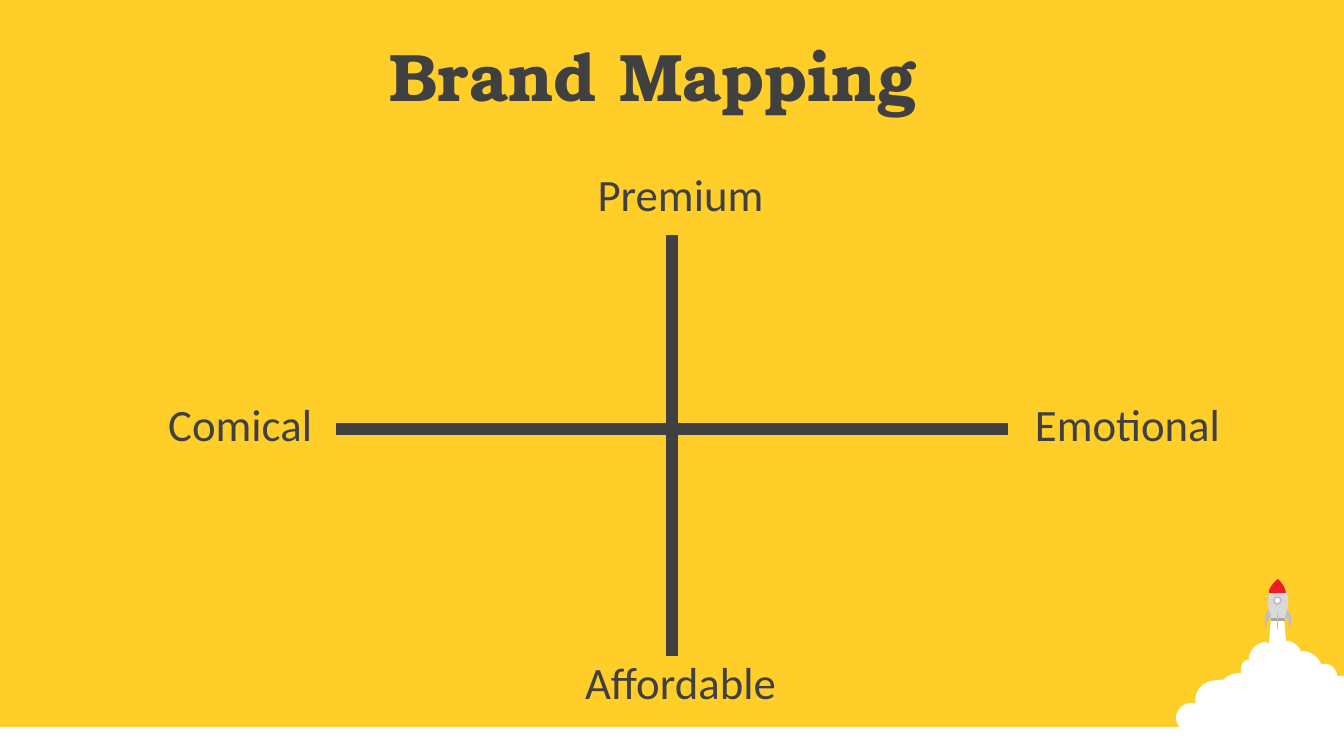
"""Build a brand mapping slide with two crossed axes and a rocket in the corner."""
import pptx
import pptx.util
import pptx.dml.color
import pptx.enum.shapes
import pptx.enum.text
import lxml.etree

W, H = 1344, 756
SCALE = 914400 / 134.4
COLORS = {"yellow": "FFCE29", "white": "FFFFFF", "ink": "404040", "body": "D9D9D9",
          "base": "A6A6A6", "nose": "ED1C24", "fin": "BFBFBF"}
LEFT, CENTER = pptx.enum.text.PP_ALIGN.LEFT, pptx.enum.text.PP_ALIGN.CENTER
SHAPE = pptx.enum.shapes.MSO_SHAPE

TITLE = ("Brand Mapping", 376, 28, 751, 95, LEFT, "TeX Gyre Bonum", 36, True)
LABELS = [("Premium", 487, 160, CENTER), ("Comical", 155, 390, LEFT),
          ("Emotional", 934, 390, CENTER), ("Affordable", 487, 648, CENTER)]
AXES = [(672, 235, 672, 656), (1008, 429, 336, 429)]

CLOUD = [
    (1271, 617), (1284, 617), (1286, 641), (1289, 641), (1293, 642, 1297, 645, 1300, 649),
    (1301, 652), (1302, 651), (1310, 651, 1318, 656, 1321, 664), (1325, 664),
    (1331, 664, 1336, 668, 1337, 675), (1337, 676), (1344, 676), (1344, 753), (1341, 753),
    (1336, 753, 1331, 751, 1327, 749), (1325, 747), (1324, 749),
    (1321, 750, 1318, 751, 1314, 751), (1310, 751, 1308, 749, 1305, 746), (1302, 745),
    (1302, 746), (1300, 750, 1296, 751, 1290, 751), (1286, 751, 1282, 750, 1279, 747),
    (1278, 746), (1275, 747), (1270, 751, 1263, 754, 1255, 754),
    (1241, 754, 1232, 747, 1227, 741), (1224, 743, 1219, 745, 1215, 743),
    (1210, 742, 1202, 739, 1200, 732), (1200, 730), (1199, 731),
    (1198, 732, 1195, 732, 1191, 732), (1183, 732, 1176, 726, 1176, 718),
    (1176, 710, 1183, 703, 1191, 703), (1193, 703), (1195, 704), (1195, 702),
    (1195, 689, 1204, 680, 1218, 680), (1223, 680), (1224, 679),
    (1228, 675, 1234, 673, 1241, 673), (1241, 669), (1241, 665, 1243, 661, 1247, 660),
    (1249, 660), (1249, 657), (1250, 649, 1258, 642, 1266, 642), (1269, 644)]
BODY = [(1271, 621), (1269, 609, 1263, 591, 1278, 579), (1293, 593, 1288, 610, 1285, 621)]
BASE = [(1271, 618), (1285, 618), (1285, 621), (1271, 621)]
NOSE = [(1278, 579), (1282, 583, 1285, 587, 1286, 593), (1269, 593), (1269, 591),
        (1270, 587, 1273, 583, 1278, 579)]
FIN = [(1269, 610), (1271, 617), (1266, 620, 1267, 626, 1266, 629),
       (1265, 625, 1263, 614, 1269, 610)]
ROCKET_AXIS = 1278


def px(n):
    return pptx.util.Emu(round(n * SCALE))


def rgb(name):
    return pptx.dml.color.RGBColor.from_string(COLORS[name])


def paint(sp, fill, line=None):
    sp.shadow.inherit = False
    sp.fill.solid()
    sp.fill.fore_color.rgb = rgb(fill)
    if line:
        sp.line.color.rgb = rgb(line)
        sp.line.width = pptx.util.Pt(1)
    else:
        sp.line.fill.background()


def flatten(path, steps=8):
    """Turn corners and cubic curves into a list of points."""
    points = []
    for seg in path:
        if len(seg) == 2:
            points.append(seg)
            continue
        (x0, y0), (x1, y1, x2, y2, x3, y3) = points[-1], seg
        for i in range(1, steps + 1):
            t = i / steps
            a, b, c, d = (1 - t) ** 3, 3 * t * (1 - t) ** 2, 3 * t * t * (1 - t), t ** 3
            points.append((a * x0 + b * x1 + c * x2 + d * x3,
                           a * y0 + b * y1 + c * y2 + d * y3))
    return points


def mirror(path):
    return [tuple(2 * ROCKET_AXIS - v if i % 2 == 0 else v for i, v in enumerate(seg))
            for seg in path]


def add_outline(shapes, path, fill):
    points = [(px(x), px(y)) for x, y in flatten(path)]
    fb = shapes.build_freeform(*points[0])
    fb.add_line_segments(points[1:], close=True)
    paint(fb.convert_to_shape(), fill)


def add_preset(shapes, kind, box, fill, line=None):
    paint(shapes.add_shape(kind, *map(px, box)), fill, line)


def add_rocket(s):
    shapes = s.shapes.add_group_shape().shapes
    for path, fill in [(CLOUD, "white"), (BODY, "body"), (BASE, "base"), (NOSE, "nose")]:
        add_outline(shapes, path, fill)
    add_preset(shapes, SHAPE.OVAL, (1274, 597, 7, 7), "white", "fin")
    add_preset(shapes, SHAPE.RECTANGLE, (1277, 612, 1, 17), "fin")
    for path in (FIN, mirror(FIN)):
        add_outline(shapes, path, "fin")


def add_axis(s, ends):
    cx = s.shapes.add_connector(pptx.enum.shapes.MSO_CONNECTOR.STRAIGHT, *map(px, ends))
    cx.line.color.rgb = rgb("ink")
    cx.line.width = pptx.util.Pt(6)
    lxml.etree.SubElement(cx._element.spPr, pptx.oxml.ns.qn("a:effectLst"))


def add_text(s, text, x, y, w, h, align, font, size, bold=False):
    tf = s.shapes.add_textbox(px(x), px(y), px(w), px(h)).text_frame
    tf.word_wrap = True
    tf.auto_size = pptx.enum.text.MSO_AUTO_SIZE.SHAPE_TO_FIT_TEXT
    p = tf.paragraphs[0]
    p.alignment = align
    r = p.add_run()
    r.text = text
    r.font.name = font
    r.font.size = pptx.util.Pt(size)
    r.font.bold = bold
    r.font.color.rgb = rgb("ink")


def main():
    prs = pptx.Presentation()
    prs.slide_width, prs.slide_height = px(W), px(H)
    s = prs.slides.add_slide(prs.slide_layouts[6])
    s.background.fill.solid()
    s.background.fill.fore_color.rgb = rgb("yellow")
    add_preset(s.shapes, SHAPE.RECTANGLE, (0, 727, W, H - 727), "white")
    add_rocket(s)
    add_text(s, *TITLE)
    for ends in AXES:
        add_axis(s, ends)
    for text, x, y, align in LABELS:
        add_text(s, text, x, y, 387, 67, align, "Calibri", 24)
    prs.save("out.pptx")


if __name__ == "__main__":
    main()
